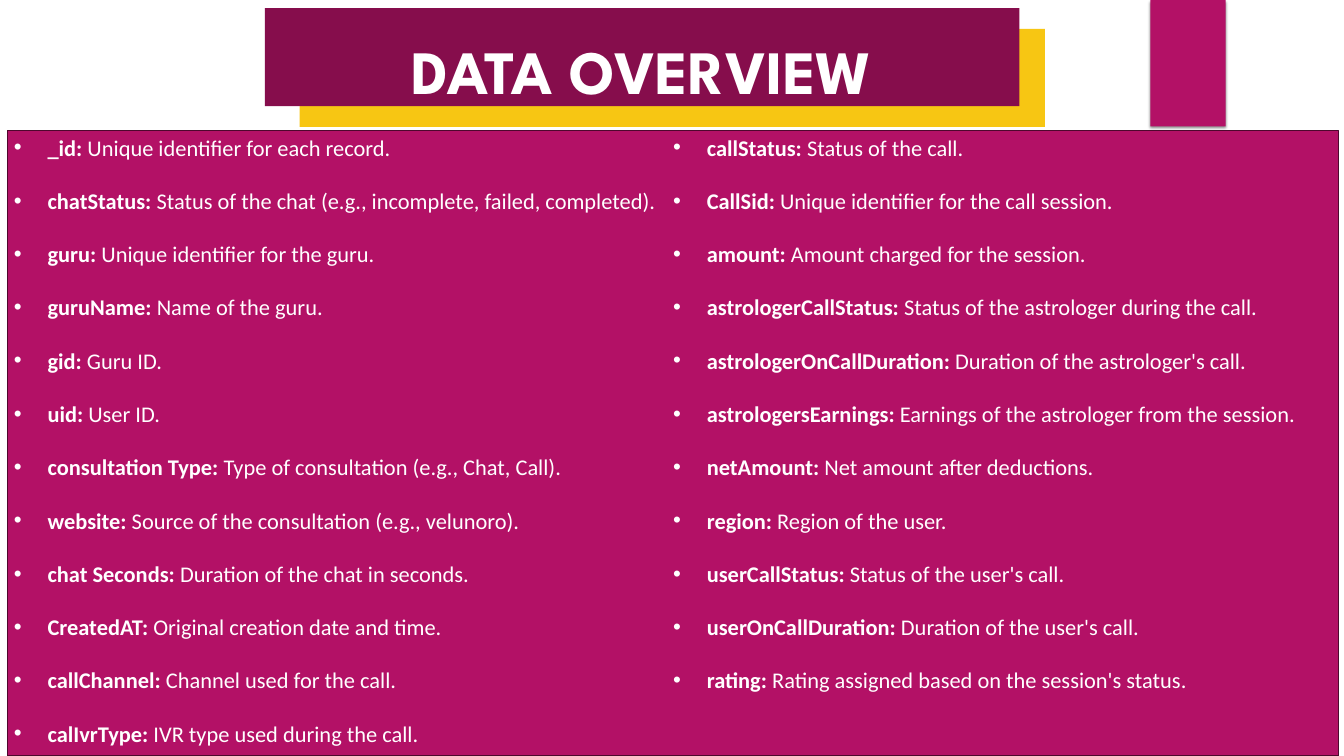
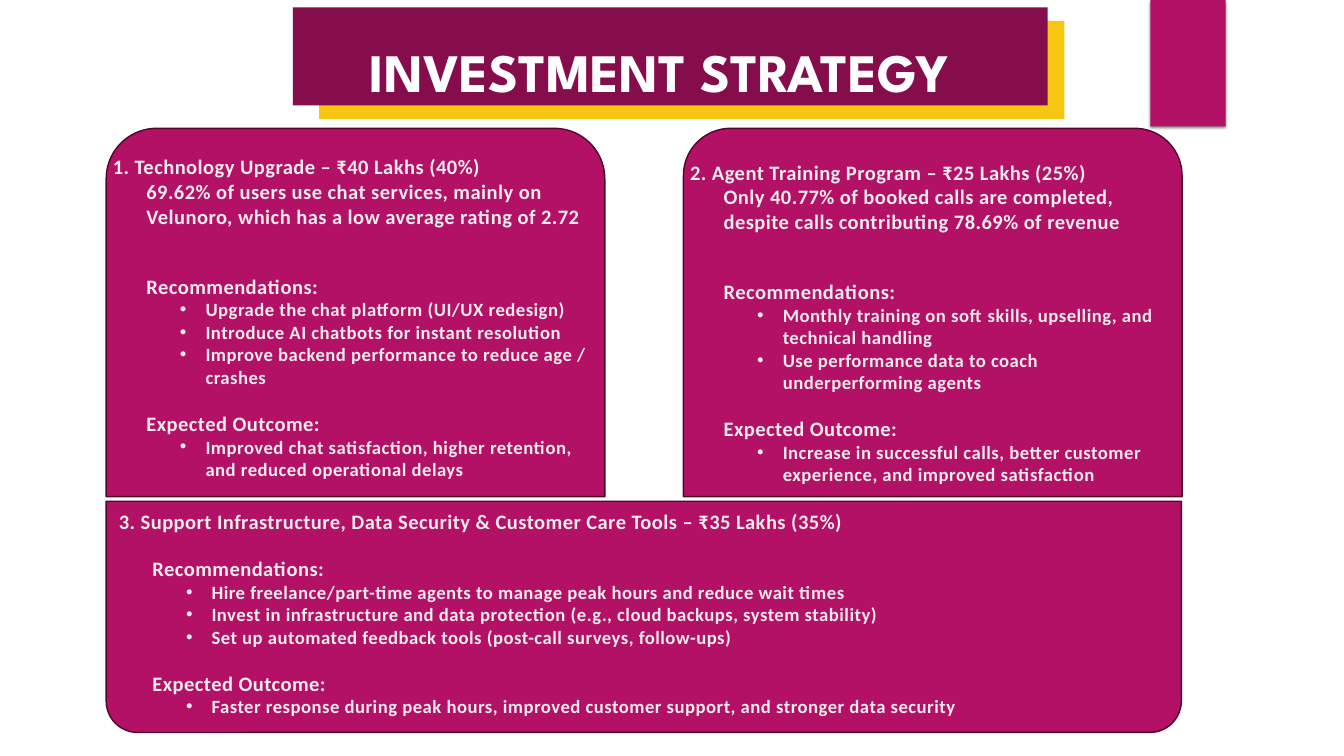
import dataclasses

import pptx
import pptx.util
import pptx.dml.color
import pptx.enum.shapes
import pptx.enum.text
import pptx.oxml

Inches = pptx.util.Inches
Pt = pptx.util.Pt
SHAPE = pptx.enum.shapes.MSO_SHAPE
ANCHOR = pptx.enum.text.MSO_ANCHOR
ALIGN = pptx.enum.text.PP_ALIGN
FIT = pptx.enum.text.MSO_AUTO_SIZE
NS = 'xmlns:a="http://schemas.openxmlformats.org/drawingml/2006/main"'


@dataclasses.dataclass(frozen=True)
class Theme:
    pink: str = "B31166"
    plum: str = "860D4C"
    gold: str = "F7C613"
    edge: str = "4E072D"
    white: str = "FFFFFF"
    pale: str = "EBEBEB"
    head_font: str = "League Spartan"
    body_font: str = "Calibri"
    field: int = 24
    head: int = 22
    point: int = 20
    blank: float = 24.4  # height of one line at point size


THEME = Theme()

FIELDS = [
    [
        ("_id:", "Unique identifier for each record."),
        ("chatStatus:", "Status of the chat (e.g., incomplete, failed, completed)."),
        ("guru:", "Unique identifier for the guru."),
        ("guruName:", "Name of the guru."),
        ("gid:", "Guru ID."),
        ("uid:", "User ID."),
        ("consultation Type:", "Type of consultation (e.g., Chat, Call)."),
        ("website:", "Source of the consultation (e.g., velunoro)."),
        ("chat Seconds:", "Duration of the chat in seconds."),
        ("CreatedAT:", "Original creation date and time."),
        ("callChannel:", "Channel used for the call."),
        ("calIvrType:", "IVR type used during the call."),
    ],
    [
        ("callStatus:", "Status of the call."),
        ("CallSid:", "Unique identifier for the call session."),
        ("amount:", "Amount charged for the session."),
        ("astrologerCallStatus:", "Status of the astrologer during the call."),
        ("astrologerOnCallDuration:", "Duration of the astrologer's call."),
        ("astrologersEarnings:", "Earnings of the astrologer from the session."),
        ("netAmount:", "Net amount after deductions."),
        ("region:", "Region of the user."),
        ("userCallStatus:", "Status of the user's call."),
        ("userOnCallDuration:", "Duration of the user's call."),
        ("rating:", "Rating assigned based on the session's status."),
    ],
]

# "box" frames the panel, "text" frames its words, "round" gives top and bottom corners
PLANS = [
    {
        "box": (1.58, 1.91, 7.42, 5.48), "text": (1.58, 2.23, 7.42, 4.98),
        "round": (0.137, 0),
        "head": "1. Technology Upgrade – ₹40 Lakhs (40%)",
        "fact": "69.62% of users use chat services, mainly on "
                "Velunoro, which has a low average rating of 2.72",
        "steps": ["Upgrade the chat platform (UI/UX redesign)",
                  "Introduce AI chatbots for instant resolution",
                  "Improve backend performance to reduce age / crashes"],
        "gain": "Improved chat satisfaction, higher retention, "
                "and reduced operational delays",
    },
    {
        "box": (10.17, 1.91, 7.42, 5.48), "text": (10.17, 2.31, 7.42, 4.98),
        "round": (0.128, 0),
        "head": "2. Agent Training Program – ₹25 Lakhs (25%)",
        "fact": "Only 40.77% of booked calls are completed, "
                "despite calls contributing 78.69% of revenue",
        "steps": ["Monthly training on soft skills, upselling, and technical handling",
                  "Use performance data to coach underperforming agents"],
        "gain": "Increase in successful calls, better customer "
                "experience, and improved satisfaction",
    },
    {
        "box": (1.58, 7.46, 16, 3.44), "text": (1.67, 7.51, 15.83, 3.23),
        "round": (0, 0.136),
        "head": "3. Support Infrastructure, Data Security & Customer Care Tools"
                " – ₹35 Lakhs (35%)",
        "fact": None,
        "steps": ["Hire freelance/part-time agents to manage peak hours and reduce wait times",
                  "Invest in infrastructure and data protection "
                  "(e.g., cloud backups, system stability)",
                  "Set up automated feedback tools (post-call surveys, follow-ups)"],
        "gain": "Faster response during peak hours, improved customer support, "
                "and stronger data security",
    },
]


def assign(item, **values):
    for name, value in values.items():
        setattr(item, name, value)


def rgb(code):
    return pptx.dml.color.RGBColor.from_string(code)


def place(box):
    return [Inches(size) for size in box]


def add_block(slide, box, fill, kind=SHAPE.RECTANGLE, edge=None, round=()):
    block = slide.shapes.add_shape(kind, *place(box))
    block.shadow.inherit = False
    block.fill.solid()
    block.fill.fore_color.rgb = rgb(fill)
    if edge:
        block.line.color.rgb = rgb(edge)
        block.line.width = Pt(1.5)
    else:
        block.line.fill.background()
    for index, value in enumerate(round):
        block.adjustments[index] = value
    return block


def add_tab(slide):
    """Draw the corner tab with its soft shadow."""
    tab = add_block(slide, (17.12, 0, 1.12, 1.88), THEME.pink)
    props = tab.element.spPr
    props.remove(props.find(pptx.oxml.ns.qn("a:effectLst")))
    props.append(pptx.oxml.parse_xml(
        f'<a:effectLst {NS}><a:outerShdw blurRad="{Pt(3)}" dist="{Pt(2)}" dir="5400000">'
        '<a:srgbClr val="000000"><a:alpha val="45000"/></a:srgbClr>'
        '</a:outerShdw></a:effectLst>'))


def add_run(line, text, size, color, font=THEME.body_font, bold=True, space=0):
    run = line.add_run()
    run.text = text
    assign(run.font, size=Pt(size), name=font, bold=bold)
    run.font.color.rgb = rgb(color)
    if space:
        run.font._element.set("spc", str(round(space * 100)))


def add_frame(slide, box, anchor):
    frame = slide.shapes.add_textbox(*place(box)).text_frame
    assign(frame, word_wrap=True, vertical_anchor=anchor)
    return frame


def add_line(frame, left=0, bullet=0, **values):
    """Start a paragraph; a bullet width hangs a dot to the left of the text."""
    first = frame.paragraphs[0]
    line = first if not first.runs else frame.add_paragraph()
    assign(line, **values)
    props = line._p.get_or_add_pPr()
    props.set("marL", str(Inches(left)))
    props.set("indent", str(Inches(-bullet)))
    if bullet:
        for xml in (f'<a:buFont {NS} typeface="Arial"/>', f'<a:buChar {NS} char="•"/>'):
            props.append(pptx.oxml.parse_xml(xml))
    return line


def add_title(slide, text, size, box, band, shift):
    """Set the title on a plum band with a gold band shifted behind it."""
    left, top = band
    right, down = shift
    add_block(slide, (left + right, top + down, 11.09, 1.46), THEME.gold)
    add_block(slide, (left, top, 11.23, 1.46), THEME.plum)
    title = slide.shapes.title
    slide.shapes.element.append(title.element)
    assign(title, **dict(zip(("left", "top", "width", "height"), place(box))))
    frame = title.text_frame
    assign(frame, margin_left=0, margin_top=0, margin_right=0, margin_bottom=0,
           word_wrap=True, auto_size=FIT.NONE, vertical_anchor=ANCHOR.TOP)
    line = frame.paragraphs[0]
    assign(line, alignment=ALIGN.CENTER, line_spacing=Pt(105.5))
    add_run(line, text, size, THEME.white, THEME.head_font)


def add_fields(slide, box, fields):
    frame = add_frame(slide, box, ANCHOR.TOP)
    for name, note in fields:
        line = add_line(frame, 0.5, 0.5, space_after=Pt(28.3))
        add_run(line, name + " ", THEME.field, THEME.white)
        add_run(line, note, THEME.field, THEME.white, bold=False)


def add_plan(slide, plan):
    add_block(slide, plan["box"], THEME.pink, SHAPE.ROUND_2_SAME_RECTANGLE,
              THEME.edge, plan["round"])
    frame = add_frame(slide, plan["text"], ANCHOR.MIDDLE)

    def write(text, level, blanks=0):
        left, bullet, size = [(0, 0, THEME.head), (0.5, 0, THEME.head),
                              (1.38, 0.38, THEME.point)][level]
        line = add_line(frame, left, bullet, level=level,
                        space_before=Pt(blanks * THEME.blank))
        add_run(line, text, size, THEME.pale, space=0.5)

    write(plan["head"], 0)
    if plan["fact"]:
        write(plan["fact"], 1)
    write("Recommendations:", 1, 2 if plan["fact"] else 1)
    for step in plan["steps"]:
        write(step, 2)
    write("Expected Outcome:", 1, 1)
    write(plan["gain"], 2)


def add_slide(deck):
    slide = deck.slides.add_slide(deck.slide_layouts[5])
    add_tab(slide)
    return slide


def main():
    deck = pptx.Presentation()
    assign(deck, slide_width=Inches(20), slide_height=Inches(11.25))

    data = add_slide(deck)
    add_title(data, "DATA OVERVIEW", 66, (3.94, 0.12, 11.23, 1.42),
              (3.94, 0.12), (0.52, 0.31))
    add_block(data, (0.11, 1.94, 19.81, 9.31), THEME.pink, edge=THEME.edge)
    for index, fields in enumerate(FIELDS):
        add_fields(data, (0.11 + index * 9.81, 1.94, 9.9, 9.31), fields)

    funds = add_slide(deck)
    for plan in PLANS:
        add_plan(funds, plan)
    add_title(funds, "INVESTMENT STRATEGY", 58, (4.41, 0.07, 10.81, 1.35),
              (4.36, 0.11), (0.39, 0.2))

    deck.save("out.pptx")


if __name__ == "__main__":
    main()
